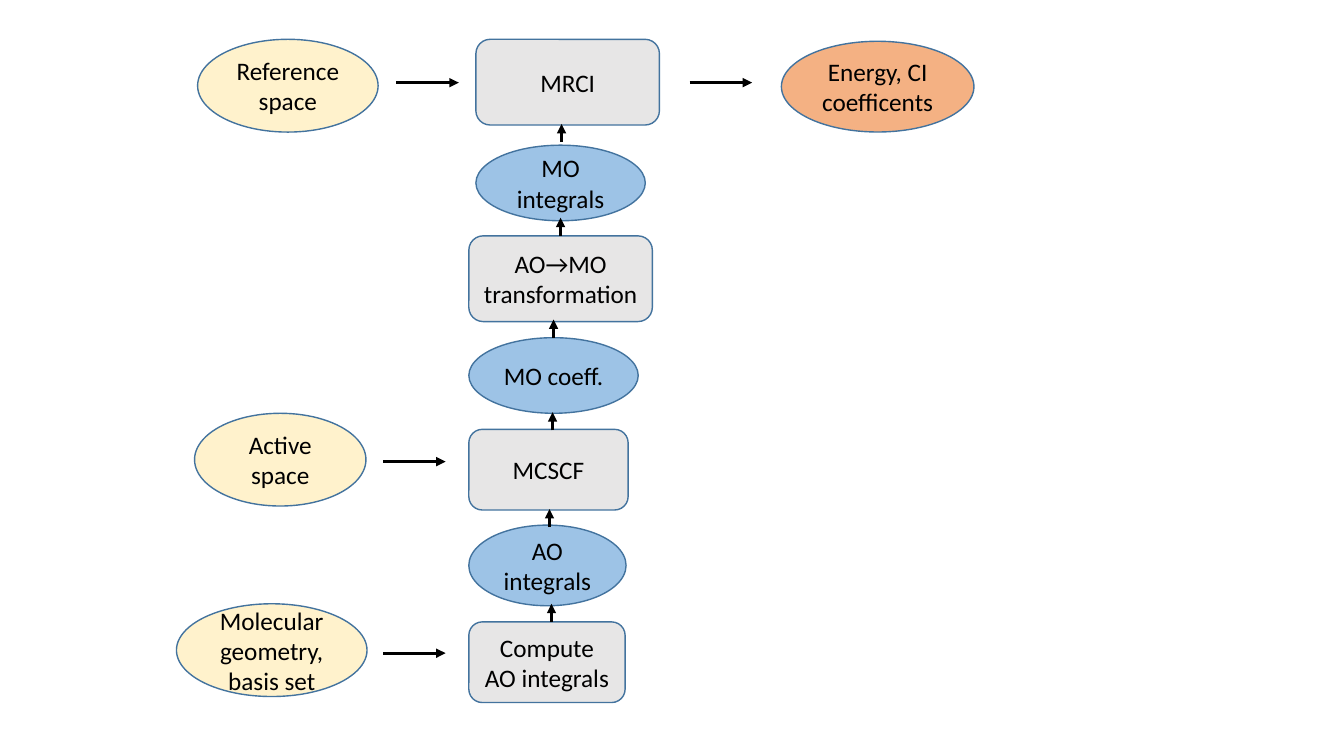
from lxml.etree import SubElement
from pptx import Presentation
from pptx.dml.color import RGBColor
from pptx.enum.shapes import MSO_CONNECTOR, MSO_SHAPE
from pptx.enum.text import MSO_ANCHOR, PP_ALIGN
from pptx.oxml.ns import qn
from pptx.util import Inches, Pt

COLORS = {"input": "FFF2CC", "step": "E7E6E6", "data": "9DC3E6",
          "result": "F4B183", "outline": "43739E", "ink": "000000"}
FONT = "Calibri"
ARROW_ACROSS, ARROW_UP = 0.62, 0.18


def color(name):
    """Return the named colour."""
    return RGBColor.from_string(COLORS[name])


def add_node(s, role, text, x, y, w, h):
    """Draw a rounded box for a step, or an ellipse for any other role."""
    preset = MSO_SHAPE.ROUNDED_RECTANGLE if role == "step" else MSO_SHAPE.OVAL
    sp = s.shapes.add_shape(preset, Inches(x), Inches(y), Inches(w), Inches(h))
    sp.shadow.inherit = False
    sp.fill.solid()
    sp.fill.fore_color.rgb = color(role)
    sp.line.color.rgb = color("outline")
    sp.line.width = Pt(1)
    tf = sp.text_frame
    tf.word_wrap = True
    tf.vertical_anchor = MSO_ANCHOR.MIDDLE
    p = tf.paragraphs[0]
    p.alignment = PP_ALIGN.CENTER
    r = p.add_run()
    r.text = text
    r.font.name = FONT
    r.font.size = Pt(18)
    r.font.color.rgb = color("ink")


def add_arrow(s, x, y, dx=0, dy=0):
    """Draw an arrow from a point along an offset."""
    cx = s.shapes.add_connector(MSO_CONNECTOR.STRAIGHT, Inches(x), Inches(y),
                                Inches(x + dx), Inches(y + dy))
    cx.line.color.rgb = color("ink")
    cx.line.width = Pt(2.25)
    SubElement(cx.line._get_or_add_ln(), qn("a:tailEnd"), type="triangle")
    SubElement(cx._element.spPr, qn("a:effectLst"))


def add_inputs(s, left, top):
    """Draw the input ellipses, each with its arrow towards a step."""
    inputs = [("Reference space", 0.21, 0, 1.79, 2.18, 0.43),
              ("Active space", 0.18, 3.71, 1.7, 2.05, 4.19),
              ("Molecular geometry, basis set", 0, 5.6, 1.89, 2.05, 6.09)]
    for text, x, y, w, arrow_x, arrow_y in inputs:
        add_node(s, "input", text, left + x, top + y, w, 0.92)
        add_arrow(s, left + arrow_x, top + arrow_y, dx=ARROW_ACROSS)


def add_pipeline(s, left, top):
    """Draw the column of steps and data, then the arrows leading up it."""
    nodes = [("step", "Compute AO integrals", 0, 5.78, 1.55, 0.8),
             ("data", "AO integrals", 0, 4.82, 1.56, 0.8),
             ("step", "MCSCF", 0, 3.87, 1.58, 0.8),
             ("data", "MO coeff.", 0, 2.96, 1.68, 0.75),
             ("step", "AO→MO transformation", 0, 1.95, 1.82, 0.85),
             ("data", "MO integrals", 0.07, 1.05, 1.68, 0.75),
             ("step", "MRCI", 0.07, 0, 1.82, 0.85)]
    for role, text, x, y, w, h in nodes:
        add_node(s, role, text, left + x, top + y, w, h)
    arrows = [(0.82, 5.78), (0.8, 4.84), (0.83, 3.88),
              (0.84, 2.96), (0.91, 1.95), (0.92, 1.02)]
    for x, y in arrows:
        add_arrow(s, left + x, top + y, dy=-ARROW_UP)


def add_result(s, left, top):
    """Draw the arrow to the result and the result ellipse."""
    add_arrow(s, left, top + 0.43, dx=ARROW_ACROSS)
    add_node(s, "result", "Energy, CI coefficents", left + 0.91, top + 0.02, 1.91, 0.9)


prs = Presentation()
prs.slide_width, prs.slide_height = Inches(13.33), Inches(7.5)
s = prs.slides.add_slide(prs.slide_layouts[6])
add_inputs(s, 1.75, 0.39)
add_pipeline(s, 4.65, 0.39)
add_result(s, 6.84, 0.39)
prs.save("out.pptx")
